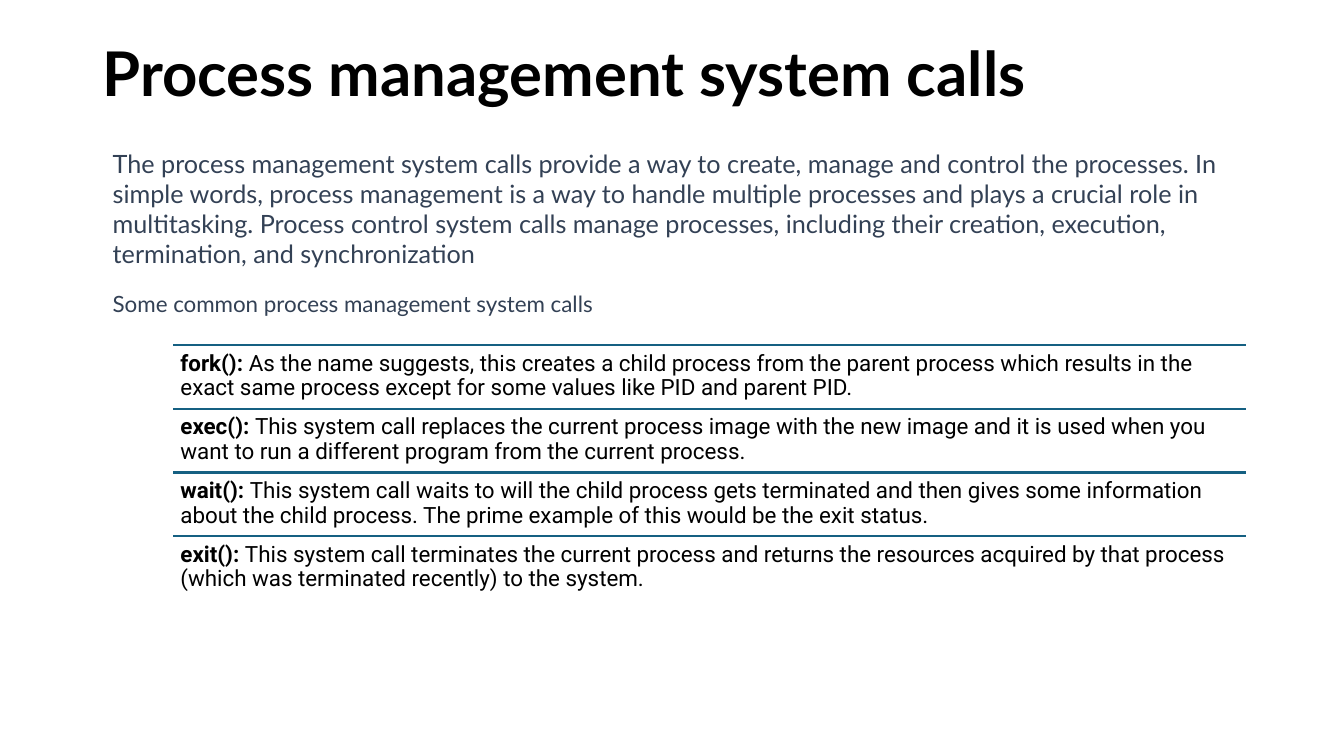
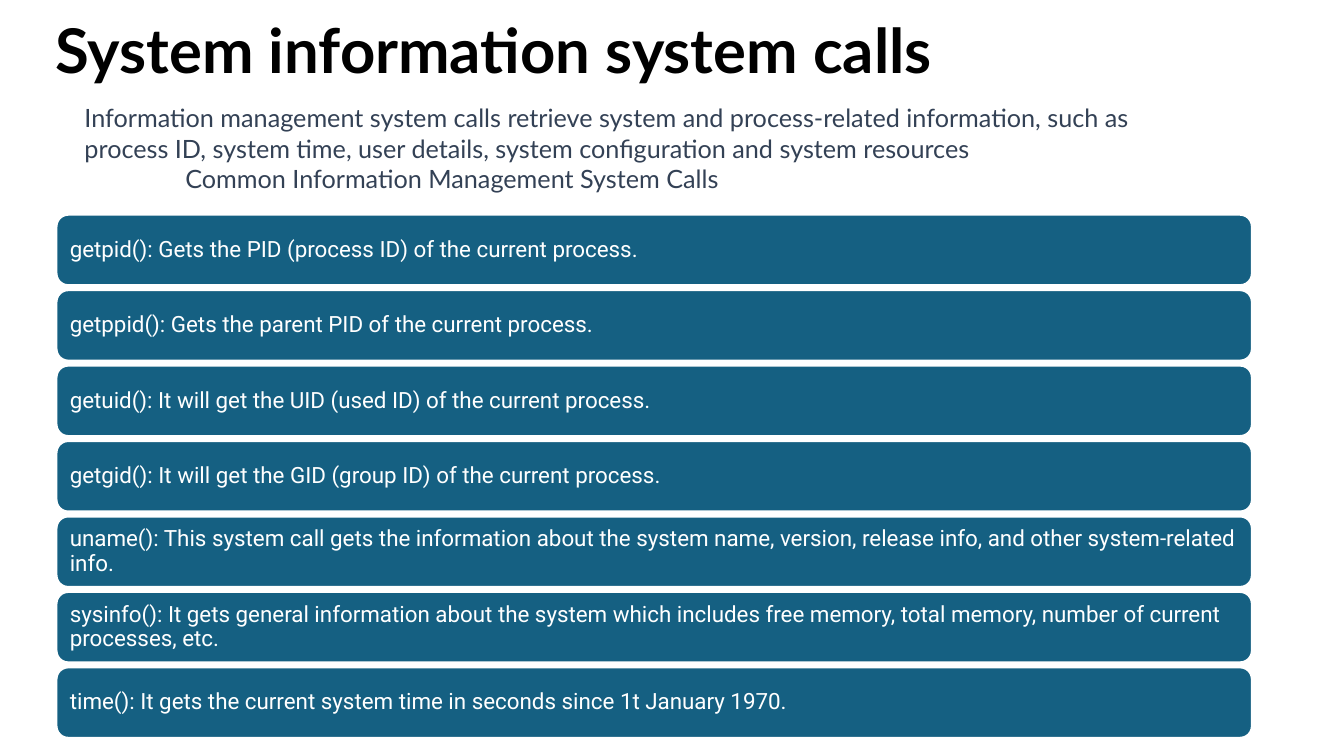
from pptx import Presentation
from pptx.dml.color import RGBColor
from pptx.enum.shapes import MSO_CONNECTOR, MSO_SHAPE
from pptx.enum.text import MSO_ANCHOR, PP_ALIGN
from pptx.oxml.ns import qn
from pptx.util import Inches, Pt
from lxml import etree

LINE = MSO_CONNECTOR.STRAIGHT
ROUND = MSO_SHAPE.ROUNDED_RECTANGLE
TOP, MID = MSO_ANCHOR.TOP, MSO_ANCHOR.MIDDLE
LEFT = PP_ALIGN.LEFT

WIDE, HIGH = Inches(13.33), Inches(7.5)
COL, ROW = WIDE / 100, HIGH / 100
COLORS = {"ink": "000000", "slate": "334155", "teal": "156082", "white": "FFFFFF"}
HEAD = {"font": "Lato", "size": 44, "color": "ink", "bold": True}
BODY = {"font": "Lato", "size": 18, "color": "slate"}
NOTE = {"font": "Lato", "size": 16, "color": "slate"}
ITEM = {"font": "Roboto", "size": 16, "color": "ink"}
NAME = {**ITEM, "bold": True}
LABEL = {**ITEM, "color": "white"}

CALLS = [
    ("fork(): ", "As the name suggests, this creates a child process from the parent process which results in the exact same process except for some values like PID and parent PID."),
    ("exec(): ", "This system call replaces the current process image with the new image and it is used when you want to run a different program from the current process."),
    ("wait(): ", "This system call waits to will the child process gets terminated and then gives some information about the child process. The prime example of this would be the exit status."),
    ("exit(): ", "This system call terminates the current process and returns the resources acquired by that process (which was terminated recently) to the system."),
]
FACTS = [
    "getpid(): Gets the PID (process ID) of the current process.",
    "getppid(): Gets the parent PID of the current process.",
    "getuid(): It will get the UID (used ID) of the current process.",
    "getgid(): It will get the GID (group ID) of the current process.",
    "uname(): This system call gets the information about the system name, version, release info, and other system-related info.",
    "sysinfo(): It gets general information about the system which includes free memory, total memory, number of current processes, etc.",
    "time(): It gets the current system time in seconds since 1t January 1970.",
]


def tint(name):
    return RGBColor.from_string(COLORS[name])


def place(box):
    x, y, w, h = box
    return round(x * COL), round(y * ROW), round(w * COL), round(h * ROW)


def write(frame, paras, space=1.0, pad=(0.1, 0.05), anchor=TOP):
    frame.word_wrap = True
    frame.vertical_anchor = anchor
    frame.margin_left = frame.margin_right = Inches(pad[0])
    frame.margin_top = frame.margin_bottom = Inches(pad[1])
    for i, runs in enumerate(paras):
        para = frame.add_paragraph() if i else frame.paragraphs[0]
        para.alignment = LEFT
        para.line_spacing = space
        for text, style in runs:
            run = para.add_run()
            run.text = text
            run.font.name = style["font"]
            run.font.size = Pt(style["size"])
            run.font.bold = style.get("bold", False)
            run.font.color.rgb = tint(style["color"])


def add_text(slide, box, paras, **look):
    frame = slide.shapes.add_textbox(*place(box)).text_frame
    write(frame, paras, **look)
    return frame


def add_title(slide, x, y, text):
    add_text(slide, (x, y, 86.25, 8.8), [[(text, HEAD)]], space=0.9, pad=(0.1, 0))


def add_rule(slide, x, y, w):
    left, top, width, _ = place((x, y, w, 0))
    rule = slide.shapes.add_connector(LINE, left, top, left + width, top)
    rule.line.color.rgb = tint("teal")
    rule.line.width = Pt(1.5)
    etree.SubElement(rule._element.spPr, qn("a:effectLst"))


def add_list(slide, box, calls):
    x, y, w, h = box
    step = h / len(calls)
    for i, (name, text) in enumerate(calls):
        top = y + i * step
        add_rule(slide, x, top, w)
        add_text(slide, (x, top, w, step), [[(name, NAME), (text, ITEM)]],
                 space=0.9, pad=(0.07, 0.07))


def add_bars(slide, box, facts, gap):
    x, y, w, h = box
    tall = (h - gap * (len(facts) - 1)) / len(facts)
    for i, fact in enumerate(facts):
        top = y + i * (tall + gap)
        bar = slide.shapes.add_shape(ROUND, *place((x, top, w, tall)))
        bar.shadow.inherit = False
        bar.fill.solid()
        bar.fill.fore_color.rgb = tint("teal")
        bar.line.color.rgb = tint("white")
        bar.line.width = Pt(1.5)
        write(bar.text_frame, [[(fact, LABEL)]], space=0.9, pad=(0.1, 0.1), anchor=MID)


def process(slide):
    add_title(slide, 6.9, 5.73, "Process management system calls")
    add_text(slide, (7.65, 18.93, 86.25, 17.47), [[(
        "The process management system calls provide a way to create, manage and control the processes. In simple words, process management is a way to handle multiple processes and plays a crucial role in multitasking. Process control system calls manage processes, including their creation, execution, termination, and synchronization", BODY)]])
    add_text(slide, (7.65, 38.13, 42.4, 8.67), [[(
        "Some common process management system calls", NOTE)]], space=0.9)
    add_list(slide, (12.9, 45.6, 79.8, 33.8), CALLS)


def system(slide):
    add_title(slide, 3.4, 2.67, "System information system calls")
    frame = add_text(slide, (5.55, 12.93, 83.2, 17.47), [
        [("Information management system calls retrieve system and process-related information, such as process ID, system time, user details, system configuration and system resources", BODY)],
        [("Common Information Management System Calls", BODY)],
    ])
    frame.paragraphs[1]._p.get_or_add_pPr().set("marL", str(Inches(1)))
    add_bars(slide, (4.2, 28.4, 88.95, 69.2), FACTS, 0.65)


def main():
    deck = Presentation()
    deck.slide_width, deck.slide_height = WIDE, HIGH
    for build in (process, system):
        build(deck.slides.add_slide(deck.slide_layouts[6]))
    deck.save("out.pptx")


if __name__ == "__main__":
    main()
